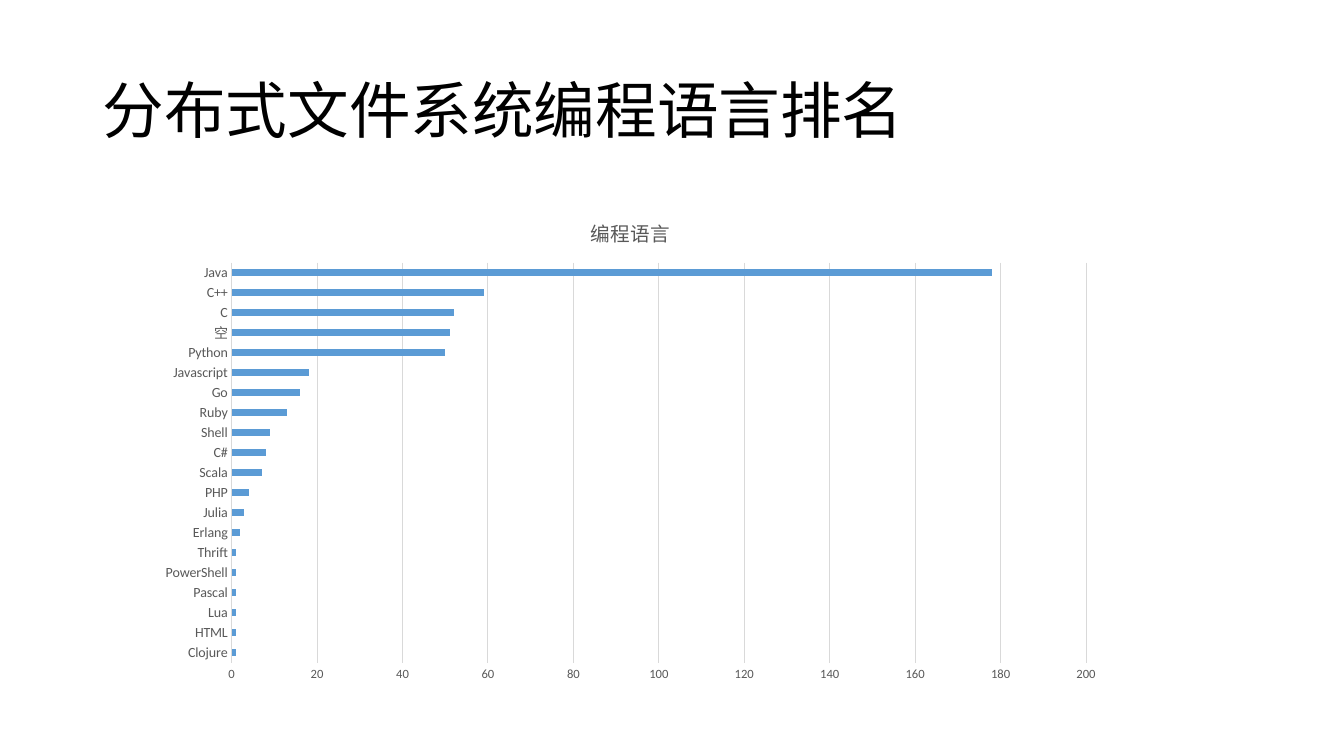
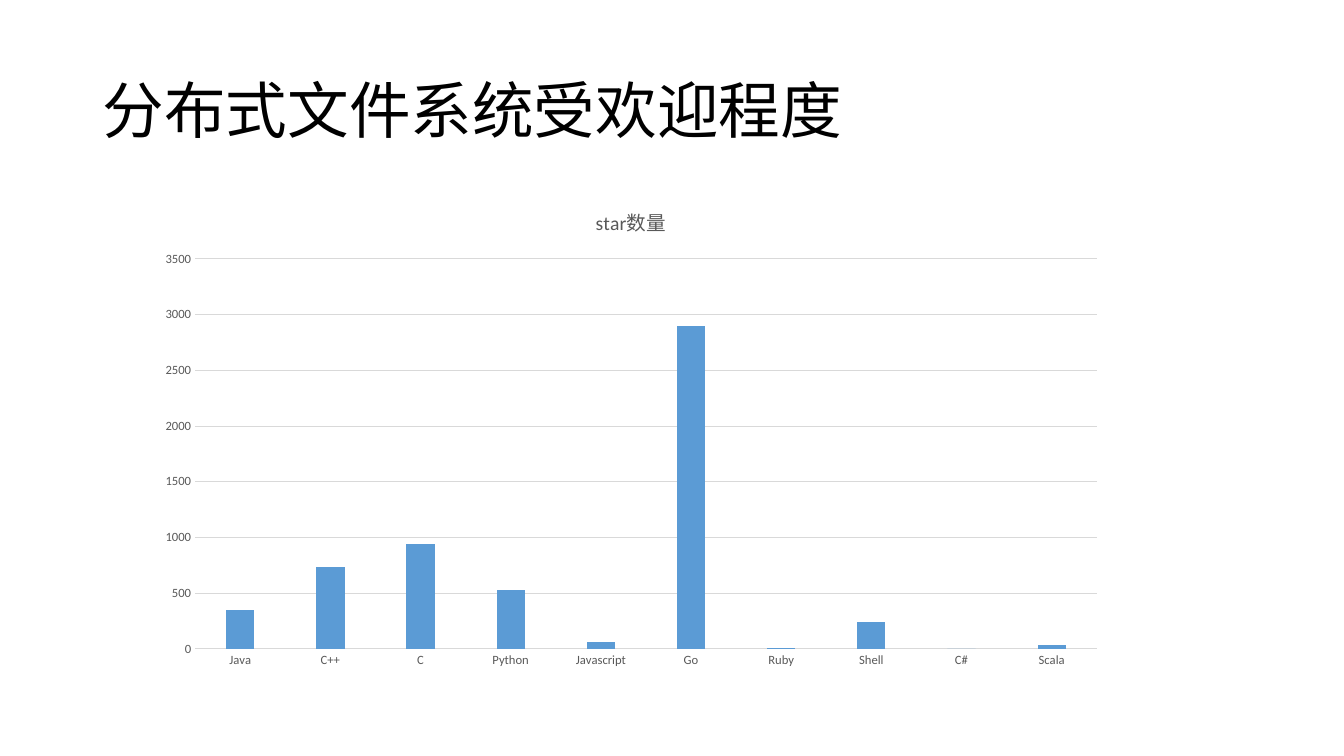
from pptx import Presentation
from pptx import util as u
from pptx.chart.data import CategoryChartData
from pptx.dml.color import RGBColor
from pptx.enum import chart as charts, text

FONT = "Calibri"
BLACK, GREY, RULE, BLUE = "000000", "595959", "D9D9D9", "5B9BD5"
WIDTH, HEIGHT = 13.33, 7.5
TITLE_BOX = (0.92, 0.4, 11.5, 1.45)

SLIDES = [
    {
        "title": "分布式文件系统编程语言排名",
        "chart_title": "编程语言",
        "kind": charts.XL_CHART_TYPE.BAR_CLUSTERED,
        "box": (1.45, 1.96, 9.61, 4.9),
        "label_size": 10, "gap": 182, "overlap": 0, "top": 200, "step": 20,
        "values": [
            ("Clojure", 1), ("HTML", 1), ("Lua", 1), ("Pascal", 1),
            ("PowerShell", 1), ("Thrift", 1), ("Erlang", 2), ("Julia", 3),
            ("PHP", 4), ("Scala", 7), ("C#", 8), ("Shell", 9), ("Ruby", 13),
            ("Go", 16), ("Javascript", 18), ("Python", 50), ("空", 51),
            ("C", 52), ("C++", 59), ("Java", 178),
        ],
    },
    {
        "title": "分布式文件系统受欢迎程度",
        "chart_title": "star数量",
        "kind": charts.XL_CHART_TYPE.COLUMN_CLUSTERED,
        "box": (1.45, 1.85, 9.62, 4.87),
        "label_size": 9, "gap": 219, "overlap": -27, "top": 3500, "step": 500,
        "values": [
            ("Java", 350), ("C++", 730), ("C", 940), ("Python", 530),
            ("Javascript", 60), ("Go", 2900), ("Ruby", 10), ("Shell", 240),
            ("C#", 0), ("Scala", 30),
        ],
    },
]


def color(value):
    return RGBColor.from_string(value)


def inches(box):
    return [u.Inches(length) for length in box]


def style_font(font, size, value):
    font.name = FONT
    font.size = u.Pt(size)
    font.bold = False
    font.color.rgb = color(value)


def style_line(line):
    line.color.rgb = color(RULE)
    line.width = u.Pt(0.75)


def add_title(page, words):
    box = page.shapes.add_textbox(*inches(TITLE_BOX))
    frame = box.text_frame
    frame.word_wrap = True
    frame.vertical_anchor = text.MSO_ANCHOR.MIDDLE
    frame.text = words
    para = frame.paragraphs[0]
    para.line_spacing = 0.9
    style_font(para.runs[0].font, 44, BLACK)


def style_axis(axis, size):
    axis.major_tick_mark = charts.XL_TICK_MARK.NONE
    axis.minor_tick_mark = charts.XL_TICK_MARK.NONE
    style_font(axis.tick_labels.font, size, GREY)


def add_bars(page, content):
    data = CategoryChartData()
    names, numbers = zip(*content["values"])
    data.categories = names
    data.add_series("Series 1", numbers)
    chart = page.shapes.add_chart(
        content["kind"], *inches(content["box"]), data).chart
    style_font(chart.font, 10, BLACK)
    chart.has_legend = False

    chart.has_title = True
    chart.chart_title.include_in_layout = False
    frame = chart.chart_title.text_frame
    frame.text = content["chart_title"]
    style_font(frame.paragraphs[0].runs[0].font, 14, GREY)

    style_axis(chart.category_axis, content["label_size"])
    style_line(chart.category_axis.format.line)
    scale = chart.value_axis
    style_axis(scale, 9)
    scale.format.line.fill.background()
    scale.has_major_gridlines = True
    style_line(scale.major_gridlines.format.line)
    scale.minimum_scale = 0
    scale.maximum_scale = content["top"]
    scale.major_unit = content["step"]

    plot = chart.plots[0]
    plot.vary_by_categories = False
    plot.gap_width = content["gap"]
    plot.overlap = content["overlap"]
    fill = plot.series[0].format.fill
    fill.solid()
    fill.fore_color.rgb = color(BLUE)


def main():
    deck = Presentation()
    deck.slide_width = u.Inches(WIDTH)
    deck.slide_height = u.Inches(HEIGHT)
    for content in SLIDES:
        page = deck.slides.add_slide(deck.slide_layouts[6])
        add_title(page, content["title"])
        add_bars(page, content)
    deck.save("out.pptx")


if __name__ == "__main__":
    main()
